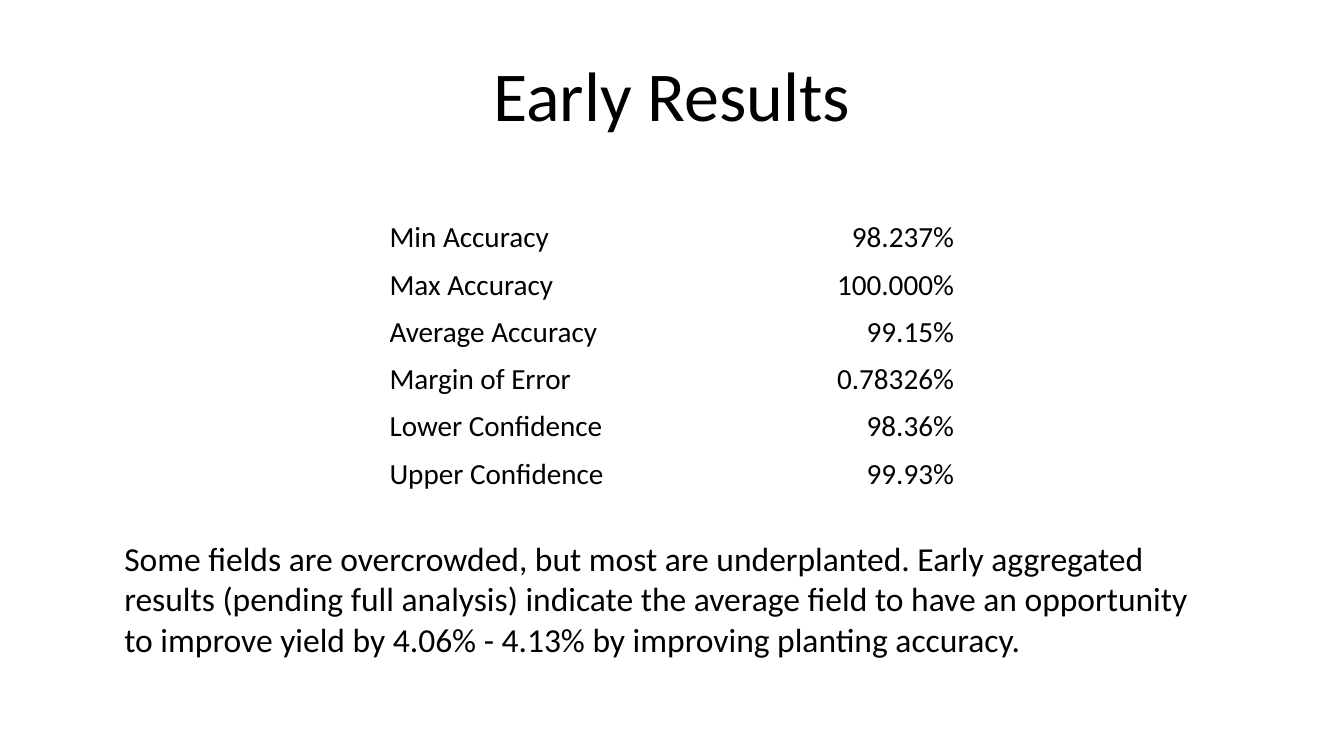
from pptx import Presentation
from pptx.dml.color import RGBColor
from pptx.enum.text import MSO_ANCHOR, MSO_AUTO_SIZE, PP_ALIGN
from pptx.util import Emu, Pt

PX = 9144
LEFT, CENTER, RIGHT = PP_ALIGN.LEFT, PP_ALIGN.CENTER, PP_ALIGN.RIGHT
MIDDLE, BOTTOM = MSO_ANCHOR.MIDDLE, MSO_ANCHOR.BOTTOM
NO_FIT = MSO_AUTO_SIZE.NONE
FIT_SHAPE = MSO_AUTO_SIZE.SHAPE_TO_FIT_TEXT
TITLE_ONLY = 5
FONT = "Calibri"
BLACK, WHITE = "000000", "FFFFFF"

RESULTS = [
    ("Min Accuracy", "98.237%"),
    ("Max Accuracy", "100.000%"),
    ("Average Accuracy", "99.15%"),
    ("Margin of Error", "0.78326%"),
    ("Lower Confidence", "98.36%"),
    ("Upper Confidence", "99.93%"),
]
SUMMARY = (
    "Some fields are overcrowded, but most are underplanted. Early aggregated "
    "results (pending full analysis) indicate the average field to have an "
    "opportunity to improve yield by 4.06% - 4.13% by improving planting accuracy."
)


def px(n):
    return Emu(n * PX)


def color(value):
    return RGBColor.from_string(value)


def set_margins(target, left, top, right, bottom):
    target.margin_left, target.margin_top = px(left), px(top)
    target.margin_right, target.margin_bottom = px(right), px(bottom)


def write(tf, text, size, align=LEFT, fill=BLACK):
    p = tf.paragraphs[0]
    p.alignment = align
    r = p.add_run()
    r.text = text
    r.font.name = FONT
    r.font.size = Pt(size)
    r.font.color.rgb = color(fill)


def add_title(s, text, x, y, w, h):
    sp = s.shapes.title
    sp.left, sp.top, sp.width, sp.height = px(x), px(y), px(w), px(h)
    tf = sp.text_frame
    tf.auto_size = NO_FIT
    tf.vertical_anchor = MIDDLE
    set_margins(tf, 26, 13, 26, 13)
    write(tf, text, 96, CENTER)


def add_results(s, rows, x, y, w, h, label_w):
    frame = s.shapes.add_table(len(rows), 2, px(x), px(y), px(w), px(h))
    table = frame.table
    table.first_row = False
    table.horz_banding = False
    table.columns[0].width = px(label_w)
    table.columns[1].width = px(w - label_w)
    for i, row in enumerate(rows):
        for j, (text, align) in enumerate(zip(row, (LEFT, RIGHT))):
            cell = table.cell(i, j)
            cell.fill.solid()
            cell.fill.fore_color.rgb = color(WHITE)
            cell.vertical_anchor = BOTTOM
            set_margins(cell, 1, 1, 1, 0)
            write(cell.text_frame, text, 40, align)


def add_summary(s, text, x, y, w, h):
    tf = s.shapes.add_textbox(px(x), px(y), px(w), px(h)).text_frame
    tf.word_wrap = True
    tf.auto_size = FIT_SHAPE
    write(tf, text, 46)


def main():
    prs = Presentation()
    prs.slide_width, prs.slide_height = px(2560), px(1440)
    s = prs.slides.add_slide(prs.slide_layouts[TITLE_ONLY])
    add_title(s, "Early Results", 128, 58, 2304, 240)
    add_results(s, RESULTS, 741, 397, 1077, 540, label_w=489)
    add_summary(s, SUMMARY, 227, 1020, 2107, 242)
    prs.save("out.pptx")


if __name__ == "__main__":
    main()
